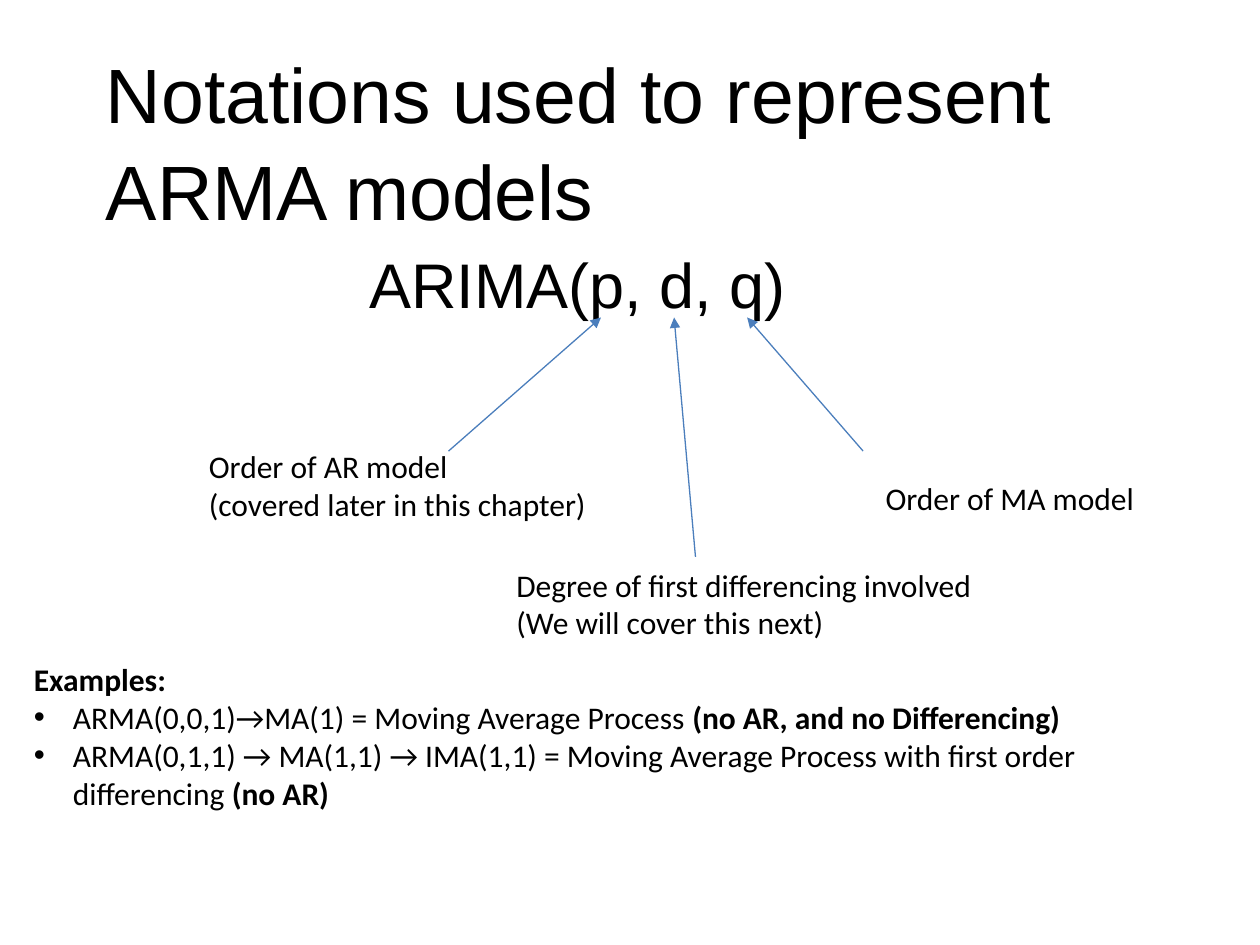
from lxml import etree
from pptx import Presentation
from pptx.dml.color import RGBColor
from pptx.enum.shapes import MSO_CONNECTOR
from pptx.oxml.ns import qn
from pptx.util import Inches, Pt

STRAIGHT = MSO_CONNECTOR.STRAIGHT
WIDE, HIGH = 10, 7.5
INK, BLUE = "000000", "4B7EBC"
TIP = 2.52
INDENT = 0.31


def color(code):
    """Turn a hex string into a colour."""
    return RGBColor.from_string(code)


def add_box(slide, box, wrap=True, inset=True):
    """Add an empty text box and return its frame."""
    frame = slide.shapes.add_textbox(*map(Inches, box)).text_frame
    frame.word_wrap = wrap
    if not inset:
        frame.margin_left = frame.margin_right = 0
        frame.margin_top = frame.margin_bottom = 0
    return frame


def fill_lines(frame, lines, size, face):
    """Write one paragraph per line, each a list of (text, bold) runs."""
    for i, line in enumerate(lines):
        para = frame.add_paragraph() if i else frame.paragraphs[0]
        para.font.size = Pt(size)
        para.font.name = face
        para.font.color.rgb = color(INK)
        for text, bold in line:
            run = para.add_run()
            run.text = text
            if bold:
                run.font.bold = True


def add_head(slide, box, text, size):
    """Add a large heading without insets."""
    frame = add_box(slide, box, inset=False)
    fill_lines(frame, [[(text, False)]], size, "Arial")
    frame.paragraphs[0].line_spacing = 1.05


def add_label(slide, box, *lines):
    """Add an unwrapped label that explains one term."""
    frame = add_box(slide, box, wrap=False)
    fill_lines(frame, [[(line, False)] for line in lines], 18, "Calibri")


def add_arrow(slide, start, end):
    """Draw a thin arrow that points at its end."""
    arrow = slide.shapes.add_connector(
        STRAIGHT, *map(Inches, (*start, *end)))
    arrow.line.color.rgb = color(BLUE)
    arrow.line.width = Pt(0.75)
    etree.SubElement(arrow.line._get_or_add_ln(), qn("a:tailEnd"),
                     type="triangle")
    etree.SubElement(arrow._element.spPr, qn("a:effectLst"))


def add_bullet(para):
    """Give a paragraph a round bullet and a hanging indent."""
    props = para._p.get_or_add_pPr()
    props.set("marL", str(Inches(INDENT)))
    props.set("indent", str(-Inches(INDENT)))
    font = etree.Element(qn("a:buFont"), typeface="Arial")
    mark = etree.Element(qn("a:buChar"), char="•")
    props.insert(0, font)
    props.insert(1, mark)


def add_cases(slide, box):
    """Add the examples with their bulleted cases."""
    frame = add_box(slide, box)
    fill_lines(frame, [
        [("Examples:", True)],
        [("ARMA(0,0,1)→MA(1) = Moving Average Process ", False),
         ("(no AR, and no Differencing)", True)],
        [("ARMA(0,1,1) → MA(1,1) → IMA(1,1) = Moving Average Process "
          "with first order differencing ", False),
         ("(no AR)", True)],
    ], 18, "Calibri")
    for para in frame.paragraphs[1:]:
        add_bullet(para)


def main():
    """Build the slide and save it."""
    deck = Presentation()
    deck.slide_width, deck.slide_height = Inches(WIDE), Inches(HIGH)
    slide = deck.slides.add_slide(deck.slide_layouts[6])
    add_head(slide, (0.84, 0.33, 8.26, 1.48),
             "Notations used to represent ARMA models", 44)
    add_head(slide, (2.93, 1.92, 3.42, 0.61), "ARIMA(p, d, q)", 36)
    terms = [
        ((3.56, 3.58), 4.77, (1.56, 3.5, 3.23, 0.71),
         ("Order of AR model", "(covered later in this chapter)")),
        ((6.85, 3.58), 5.93, (6.93, 3.75, 2.2, 0.4),
         ("Order of MA model",)),
        ((5.52, 4.42), 5.35, (4, 4.44, 3.86, 0.71),
         ("Degree of first differencing involved",
          "(We will cover this next)")),
    ]
    for start, tip, box, lines in terms:
        add_arrow(slide, start, (tip, TIP))
        add_label(slide, box, *lines)
    add_cases(slide, (0.17, 5.19, 9.58, 1.31))
    deck.save("out.pptx")


if __name__ == "__main__":
    main()
